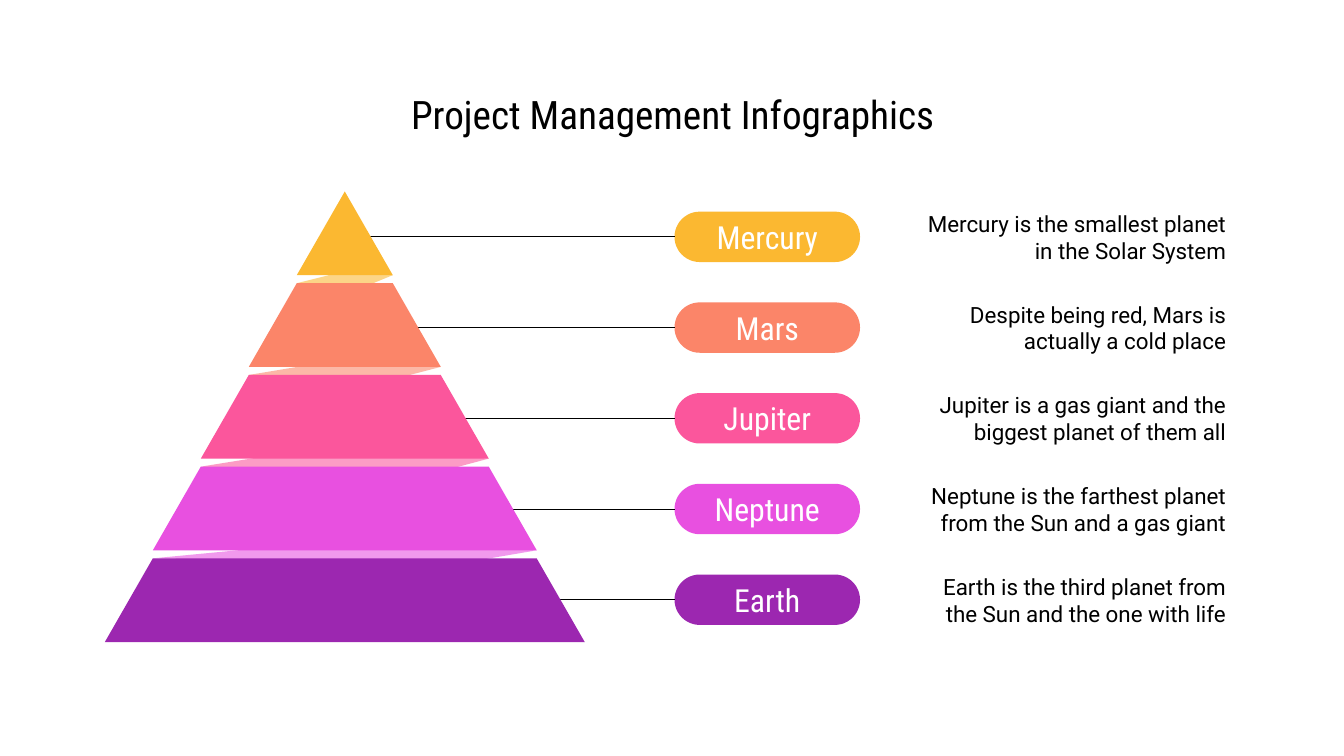
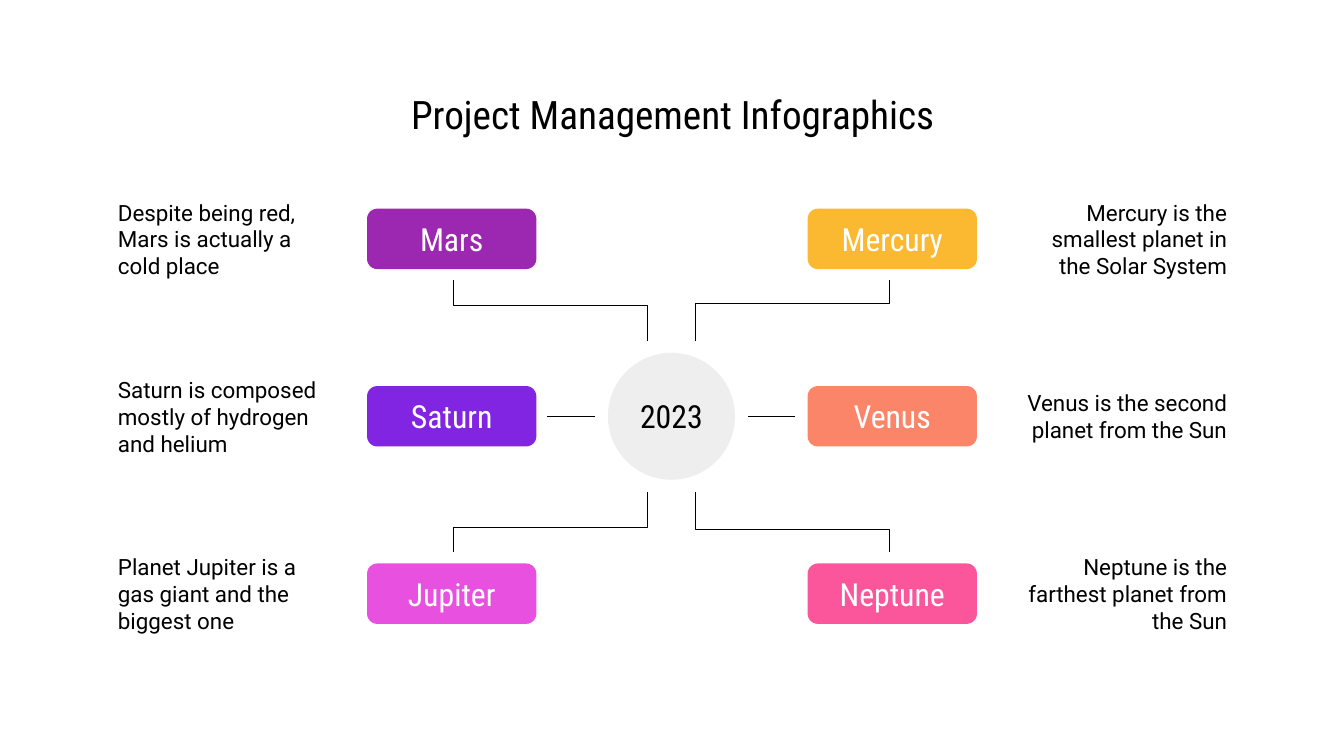
from dataclasses import dataclass

from lxml.etree import SubElement
from pptx import Presentation
from pptx.dml.color import RGBColor
from pptx.enum.shapes import MSO_CONNECTOR, MSO_SHAPE
from pptx.enum.text import MSO_ANCHOR, MSO_AUTO_SIZE, PP_ALIGN
from pptx.oxml.ns import qn
from pptx.util import Inches, Pt


@dataclass(frozen=True)
class Theme:
    black: str = "000000"
    white: str = "FFFFFF"
    gray: str = "EEEEEE"
    yellow: str = "FBB831"
    coral: str = "FB8569"
    pink: str = "FB569C"
    magenta: str = "E850E0"
    purple: str = "9C27B0"
    violet: str = "8225E2"
    heading_font: str = "Roboto Condensed"
    body_font: str = "Roboto"
    title_size: float = 28
    label_size: float = 22.7
    body_size: float = 16
    line_width: float = 0.75
    inset: float = 0.13


THEME = Theme()
TITLE = "Project Management Infographics"
LEFT, RIGHT = 1.04, 12.3


class Deck:
    def __init__(self, theme):
        self.theme = theme
        self.presentation = Presentation()
        self.presentation.slide_width = Inches(13.33)
        self.presentation.slide_height = Inches(7.5)
        self.page = None

    def add_page(self, title):
        layout = self.presentation.slide_layouts[5]
        self.page = self.presentation.slides.add_slide(layout)
        box = self.page.shapes.title
        box.left, box.top = Inches(LEFT), Inches(0.78)
        box.width, box.height = Inches(RIGHT - LEFT), Inches(0.7)
        self.set_text(box, title, self.theme.heading_font, self.theme.title_size,
                      self.theme.black, PP_ALIGN.CENTER)

    def set_text(self, box, text, font, size, color, align):
        frame = box.text_frame
        frame.word_wrap = True
        frame.auto_size = MSO_AUTO_SIZE.NONE
        frame.vertical_anchor = MSO_ANCHOR.MIDDLE
        inset = Inches(self.theme.inset)
        frame.margin_left = frame.margin_right = inset
        frame.margin_top = frame.margin_bottom = inset
        para = frame.paragraphs[0]
        para.text = text
        para.alignment = align
        para.font.name = font
        para.font.size = Pt(size)
        para.font.color.rgb = RGBColor.from_string(color)

    def paint(self, shape, color):
        shape.shadow.inherit = False
        shape.fill.solid()
        shape.fill.fore_color.rgb = RGBColor.from_string(color)
        shape.line.fill.background()

    def stroke(self, shape):
        shape.line.color.rgb = RGBColor.from_string(self.theme.black)
        shape.line.width = Pt(self.theme.line_width)

    def label(self, kind, left, top, width, height, text, fill,
              color=None, rounding=None):
        shape = self.page.shapes.add_shape(
            kind, Inches(left), Inches(top), Inches(width), Inches(height))
        if rounding is not None:
            shape.adjustments[0] = rounding
        self.paint(shape, fill)
        self.set_text(shape, text, self.theme.heading_font, self.theme.label_size,
                      color or self.theme.white, PP_ALIGN.CENTER)
        return shape

    def description(self, left, top, width, height, text, align):
        box = self.page.shapes.add_textbox(
            Inches(left), Inches(top), Inches(width), Inches(height))
        self.set_text(box, text, self.theme.body_font, self.theme.body_size,
                      self.theme.black, align)

    def line(self, start_x, end_x, y, start_shape=None):
        connector = self.page.shapes.add_connector(
            MSO_CONNECTOR.STRAIGHT, Inches(start_x), Inches(y), Inches(end_x), Inches(y))
        if start_shape is not None:
            connector.begin_connect(start_shape, 1)
        self.stroke(connector)
        SubElement(connector.element.spPr, qn("a:effectLst"))

    def outline(self, points, close):
        corners = [(Inches(x), Inches(y)) for x, y in points]
        builder = self.page.shapes.build_freeform(*corners[0])
        builder.add_line_segments(corners[1:], close=close)
        return builder.convert_to_shape()

    def polygon(self, points, fill, opacity=None):
        shape = self.outline(points, True)
        self.paint(shape, fill)
        if opacity is not None:
            color = shape.element.spPr.find(f"{qn('a:solidFill')}/{qn('a:srgbClr')}")
            SubElement(color, qn("a:alpha"), val=str(opacity * 1000))

    def polyline(self, points):
        shape = self.outline(points, False)
        shape.shadow.inherit = False
        shape.fill.background()
        self.stroke(shape)


def build_pyramid(deck):
    theme = deck.theme
    levels = [
        ("Mercury", "Mercury is the smallest planet in the Solar System",
         theme.yellow, ((3.46, 2.68), (3.58, 2.86))),
        ("Mars", "Despite being red, Mars is actually a cold place",
         theme.coral, ((3.37, 3.57), (3.95, 3.75))),
        ("Jupiter", "Jupiter is a gas giant and the biggest planet of them all",
         theme.pink, ((3.23, 4.43), (4.25, 4.71))),
        ("Neptune", "Neptune is the farthest planet from the Sun and a gas giant",
         theme.magenta, ((2.77, 5.42), (4.56, 5.59))),
        ("Earth", "Earth is the third planet from the Sun and the one with life",
         theme.purple, None),
    ]
    center, first_top, last_top, band_height = 3.42, 1.9, 5.54, 0.83
    pitch = (last_top - first_top) / (len(levels) - 1)
    step = 4.76 / 2 / len(levels)
    pill_left, pill_height = 6.69, 0.5

    deck.add_page(TITLE)
    for index, (name, text, color, fold) in enumerate(levels):
        top = first_top + index * pitch
        bottom = top + band_height
        inner, outer = index * step, (index + 1) * step
        middle = 2.35 + index * 0.9
        pill = deck.label(MSO_SHAPE.ROUNDED_RECTANGLE, pill_left, middle - pill_height / 2,
                          1.84, pill_height, name, color, rounding=0.5)
        deck.line(pill_left, center + inner + step * 0.3, middle, pill)
        if fold:
            upper, lower = fold
            deck.polygon([upper, (center - outer, top + pitch), lower,
                          (center + outer, bottom)], color, 58)
        peak = [(center - inner, top), (center + inner, top)] if index else [(center, top)]
        deck.polygon(peak + [(center + outer, bottom), (center - outer, bottom)], color)
        deck.description(8.99, middle - 0.39, 3.3, 0.78, text, PP_ALIGN.RIGHT)


def build_hub(deck):
    theme = deck.theme
    left_planets = [
        ("Mars", "Despite being red, Mars is actually a cold place", theme.purple),
        ("Saturn", "Saturn is composed mostly of hydrogen and helium", theme.violet),
        ("Jupiter", "Planet Jupiter is a gas giant and the biggest one", theme.magenta),
    ]
    right_planets = [
        ("Mercury", "Mercury is the smallest planet in the Solar System", theme.yellow),
        ("Venus", "Venus is the second planet from the Sun", theme.coral),
        ("Neptune", "Neptune is the farthest planet from the Sun", theme.pink),
    ]
    center_x, center_y, diameter, pitch = 6.66, 4.13, 1.26, 1.76
    box_width, box_height = 1.68, 0.6
    text_width, text_height = 2.24, 1.09
    sides = [
        (-1, left_planets, 3.64, LEFT, PP_ALIGN.LEFT, 1.1),
        (1, right_planets, 8.01, RIGHT - text_width, PP_ALIGN.RIGHT, 1.12),
    ]

    deck.add_page(TITLE)
    deck.label(MSO_SHAPE.OVAL, center_x - diameter / 2, center_y - diameter / 2,
               diameter, diameter, "2023", theme.gray, theme.black)
    for side, planets, box_left, text_left, align, bend in sides:
        for row, (name, text, color) in zip((-1, 0, 1), planets):
            middle = center_y + row * pitch
            deck.label(MSO_SHAPE.ROUNDED_RECTANGLE, box_left, middle - box_height / 2,
                       box_width, box_height, name, color, rounding=0.17)
            deck.description(text_left, middle - text_height / 2,
                             text_width, text_height, text, align)
            if row:
                near, far = center_x + side * 0.24, center_x + side * 2.16
                deck.polyline([(near, center_y + row * 0.75), (near, center_y + row * bend),
                               (far, center_y + row * bend), (far, center_y + row * 1.35)])
            else:
                deck.line(center_x + side * 0.76, center_x + side * 1.23, middle)


def main():
    deck = Deck(THEME)
    build_pyramid(deck)
    build_hub(deck)
    deck.presentation.save("out.pptx")


if __name__ == "__main__":
    main()
